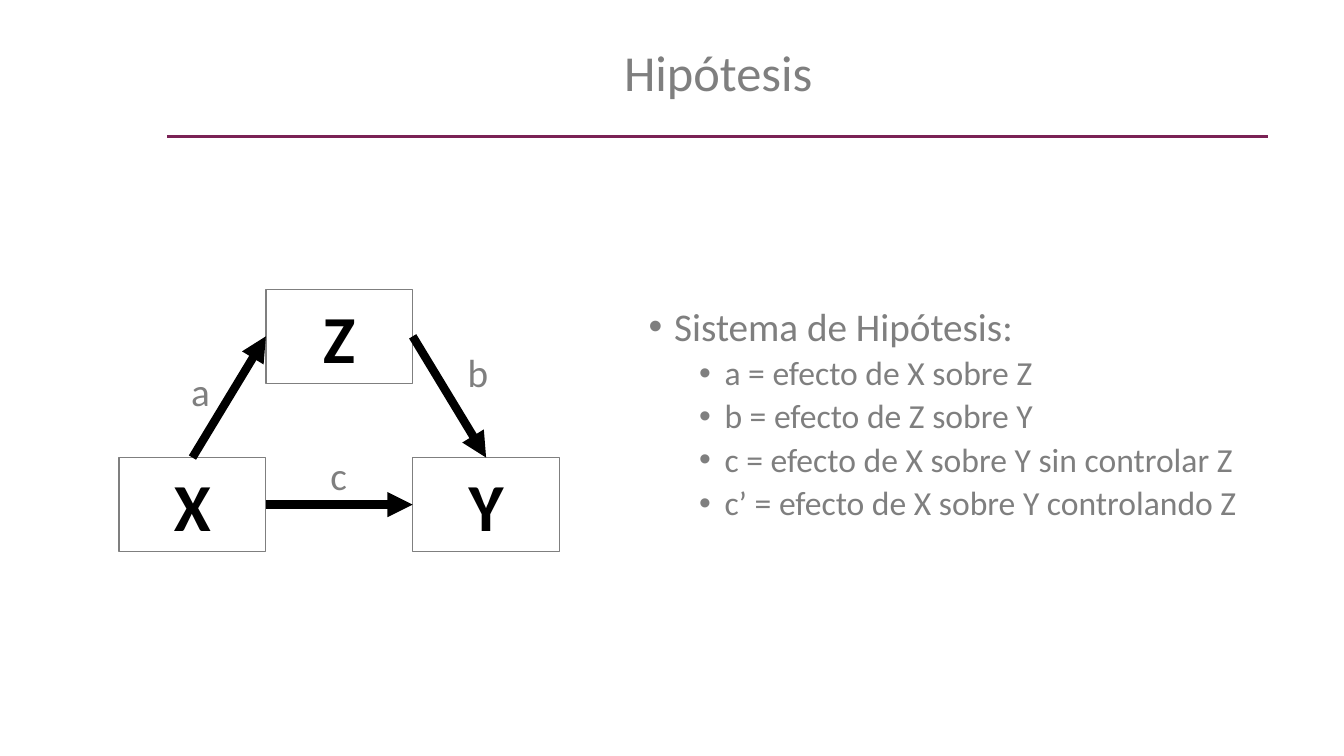
from lxml.etree import SubElement
from pptx import Presentation
from pptx.dml.color import RGBColor
from pptx.enum.shapes import MSO_CONNECTOR, MSO_SHAPE
from pptx.enum.text import MSO_ANCHOR, MSO_AUTO_SIZE, PP_ALIGN
from pptx.oxml.ns import qn
from pptx.util import Cm, Pt

FONT = "Calibri"
GREY, BLACK, WHITE, PURPLE = "7F7F7F", "000000", "FFFFFF", "7A2255"
NODE_WIDTH, NODE_HEIGHT = 3.7, 2.37
NODES = {"Z": (6.7, 7.29), "X": (3, 11.53), "Y": (10.4, 11.53)}
TOP, LEFT, RIGHT = 0, 1, 3
ARROWS = [("X", TOP, "Z", LEFT), ("Z", RIGHT, "Y", TOP), ("X", RIGHT, "Y", LEFT)]
LABELS = [("a", 4.52, 9.12), ("b", 11.51, 8.66), ("c", 8, 11.25)]
HYPOTHESES = [
    "a = efecto de X sobre Z",
    "b = efecto de Z sobre Y",
    "c = efecto de X sobre Y sin controlar Z",
    "c’ = efecto de X sobre Y controlando Z",
]


def colour(value):
    return RGBColor.from_string(value)


def add_span(para, text, size, value, bold=False):
    span = para.add_run()
    span.text = text
    span.font.name = FONT
    span.font.size = Pt(size)
    span.font.bold = bold
    span.font.color.rgb = colour(value)


def add_title(page, text):
    title = page.shapes.title
    title.left, title.top, title.width, title.height = Cm(4.65), Cm(0.66), Cm(26.9), Cm(2.46)
    frame = title.text_frame
    frame.auto_size = MSO_AUTO_SIZE.NONE
    frame.vertical_anchor = MSO_ANCHOR.MIDDLE
    para = frame.paragraphs[0]
    para.alignment = PP_ALIGN.CENTER
    para.line_spacing = 0.9
    add_span(para, text, 36, GREY)


def add_line(page, start, end, value, width):
    points = [Cm(length) for length in (*start, *end)]
    line = page.shapes.add_connector(MSO_CONNECTOR.STRAIGHT, *points)
    line.line.color.rgb = colour(value)
    line.line.width = Pt(width)
    SubElement(line._element.spPr, qn("a:effectLst"))
    return line


def add_node(page, name, left, top):
    node = page.shapes.add_shape(
        MSO_SHAPE.RECTANGLE, Cm(left), Cm(top), Cm(NODE_WIDTH), Cm(NODE_HEIGHT))
    node.shadow.inherit = False
    node.fill.solid()
    node.fill.fore_color.rgb = colour(WHITE)
    node.line.color.rgb = colour(GREY)
    node.line.width = Pt(1)
    node.text_frame.vertical_anchor = MSO_ANCHOR.MIDDLE
    para = node.text_frame.paragraphs[0]
    para.alignment = PP_ALIGN.CENTER
    add_span(para, name, 48, BLACK, bold=True)
    return node


def add_arrow(page, source, source_side, target, target_side):
    arrow = add_line(page, (0, 0), (0, 0), BLACK, 6)
    arrow.begin_connect(source, source_side)
    arrow.end_connect(target, target_side)
    SubElement(arrow.line._get_or_add_ln(), qn("a:tailEnd"), type="triangle")


def add_label(page, text, left, top):
    box = page.shapes.add_textbox(Cm(left), Cm(top), Cm(1.07), Cm(1.45))
    para = box.text_frame.paragraphs[0]
    para.alignment = PP_ALIGN.CENTER
    add_span(para, text, 28, GREY)


def add_bullet(para, text, size, level, indent):
    para.level = level
    para.line_spacing = 0.9
    properties = para._p.get_or_add_pPr()
    properties.set("marL", str(Cm(indent)))
    properties.set("indent", str(-Cm(0.64)))
    SubElement(properties, qn("a:buFont"), typeface="Arial")
    SubElement(properties, qn("a:buChar"), char="•")
    add_span(para, text, size, GREY)


def add_hypotheses(page):
    box = page.shapes.add_textbox(Cm(16.1), Cm(7.62), Cm(15.45), Cm(5.94))
    frame = box.text_frame
    frame.word_wrap = True
    add_bullet(frame.paragraphs[0], "Sistema de Hipótesis:", 28, 0, 0.64)
    for hypothesis in HYPOTHESES:
        para = frame.add_paragraph()
        para.space_before = Pt(5)
        add_bullet(para, hypothesis, 24, 1, 1.91)


def main():
    deck = Presentation()
    deck.slide_width, deck.slide_height = Cm(33.87), Cm(19.05)
    page = deck.slides.add_slide(deck.slide_layouts.get_by_name("Title Only"))
    add_line(page, (4.22, 3.43), (31.95, 3.43), PURPLE, 2.25)
    add_title(page, "Hipótesis")
    add_hypotheses(page)
    nodes = {name: add_node(page, name, *place) for name, place in NODES.items()}
    for source, source_side, target, target_side in ARROWS:
        add_arrow(page, nodes[source], source_side, nodes[target], target_side)
    for label in LABELS:
        add_label(page, *label)
    deck.save("out.pptx")


if __name__ == "__main__":
    main()
